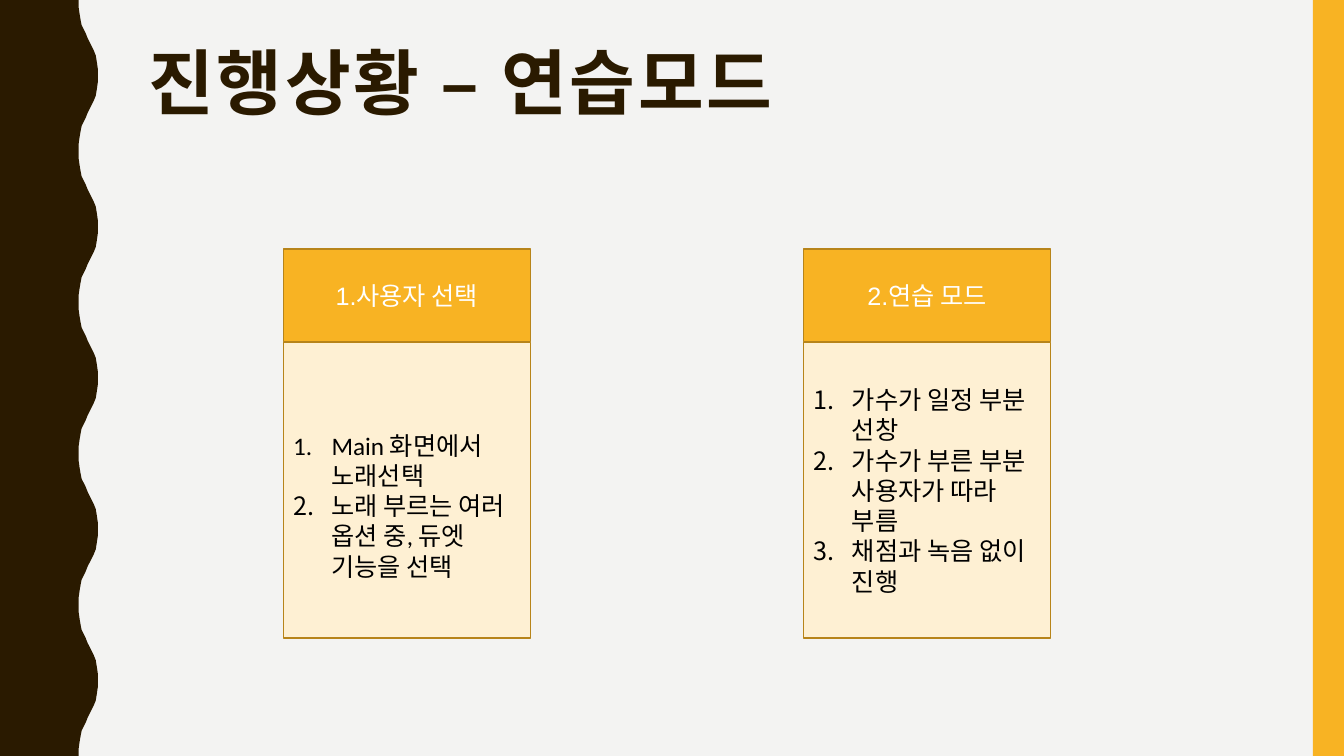
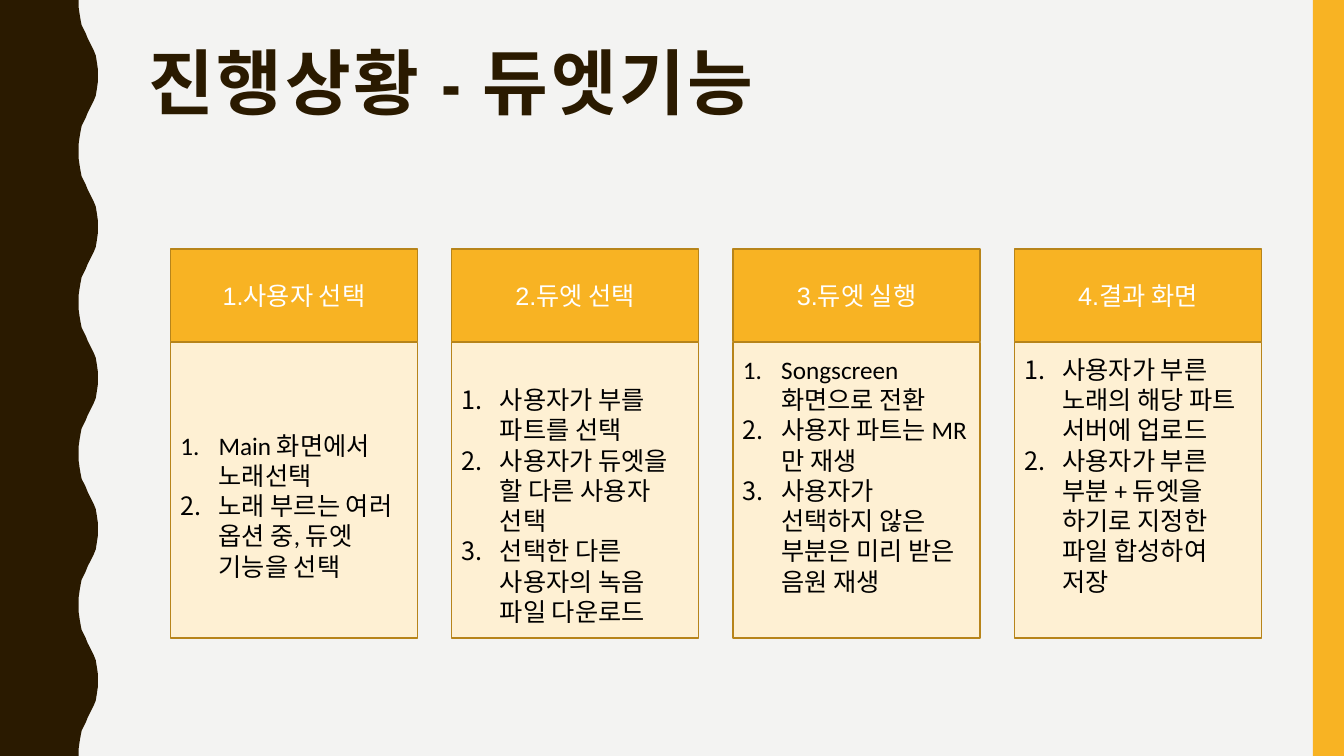
from dataclasses import dataclass

from lxml import etree
from pptx import Presentation
from pptx import presentation as prs
from pptx import slide as sld
from pptx import util as u
from pptx.dml.color import RGBColor
from pptx.enum import shapes, text
from pptx.oxml.ns import qn
from pptx.shapes.autoshape import Shape
from pptx.shapes.group import GroupShape

# Colours
BACKGROUND = RGBColor(0xF3, 0xF3, 0xF2)
BROWN = RGBColor(0x2A, 0x1A, 0x00)
AMBER = RGBColor(0xF8, 0xB3, 0x23)
CREAM = RGBColor(0xFE, 0xF0, 0xD3)
BORDER = RGBColor(0xB7, 0x84, 0x1A)
WHITE = RGBColor(0xFF, 0xFF, 0xFF)
BLACK = RGBColor(0x00, 0x00, 0x00)

# Slide and card measures in inches
SLIDE_WIDTH, SLIDE_HEIGHT = 13.33, 7.5
BAND_WIDTH = 0.31
CARD_WIDTH = 2.45
HEADER_TOP, HEADER_HEIGHT = 2.47, 0.92
BODY_TOP, BODY_HEIGHT = 3.4, 2.93
INSET, LIST_LINE, LIST_INDENT = 0.05, 0.3, 0.38

# Half a wave of the left edge, as (x, y); the other half mirrors it
WAVE_LENGTH = 1.5
HALF_WAVE = [
    (0.78, 0), (0.78, 0.07), (0.79, 0.14), (0.8, 0.2), (0.81, 0.25),
    (0.83, 0.29), (0.85, 0.33), (0.87, 0.38), (0.89, 0.42), (0.91, 0.46),
    (0.93, 0.5), (0.95, 0.55), (0.96, 0.61), (0.97, 0.68), (0.97, 0.75),
]


@dataclass(frozen=True)
class Card:
    header: str
    steps: tuple[str, ...]
    lines_above: int = 0
    lines_below: int = 0


@dataclass(frozen=True)
class Page:
    title: str
    first_left: float
    pitch: float
    cards: tuple[Card, ...]


USER_CHOICE = Card(
    "1.사용자 선택",
    ("Main 화면에서 노래선택", "노래 부르는 여러 옵션 중, 듀엣 기능을 선택"),
    lines_above=1,
)
PAGES = (
    Page("진행상황 – 연습모드", 2.81, 5.16, (
        USER_CHOICE,
        Card("2.연습 모드",
             ("가수가 일정 부분 선창", "가수가 부른 부분 사용자가 따라 부름",
              "채점과 녹음 없이 진행"),
             lines_above=1, lines_below=1),
    )),
    Page("진행상황 - 듀엣기능", 1.69, 2.79, (
        USER_CHOICE,
        Card("2.듀엣 선택",
             ("사용자가 부를 파트를 선택", "사용자가 듀엣을 할 다른 사용자 선택",
              "선택한 다른 사용자의 녹음 파일 다운로드"),
             lines_above=1),
        Card("3.듀엣 실행",
             ("Songscreen화면으로 전환", "사용자 파트는 MR만 재생",
              "사용자가 선택하지 않은 부분은 미리 받은 음원 재생"),
             lines_below=1),
        Card("4.결과 화면",
             ("사용자가 부른 노래의 해당 파트 서버에 업로드",
              "사용자가 부른 부분 + 듀엣을 하기로 지정한 파일 합성하여 저장"),
             lines_below=1),
    )),
)


def paint(shape: Shape, fill: RGBColor, line: RGBColor | None = None) -> None:
    shape.shadow.inherit = False
    shape.fill.solid()
    shape.fill.fore_color.rgb = fill
    if line is None:
        shape.line.fill.background()
    else:
        shape.line.color.rgb = line
        shape.line.width = u.Pt(1)


def format_text(shape: Shape, font_name: str, size: float, color: RGBColor,
                alignment: text.PP_ALIGN, bold: bool = False) -> None:
    for paragraph in shape.text_frame.paragraphs:
        paragraph.alignment = alignment
        for run in paragraph.runs:
            run.font.name = font_name
            run.font.size = u.Pt(size)
            run.font.bold = bold
            run.font.color.rgb = color


def number_paragraphs(shape: Shape) -> None:
    indent = u.Inches(LIST_INDENT)
    for paragraph in shape.text_frame.paragraphs:
        properties = paragraph._p.get_or_add_pPr()
        properties.set("marL", str(indent))
        properties.set("indent", str(-indent))
        etree.SubElement(properties, qn("a:buAutoNum"), type="arabicPeriod")


def wave_outline() -> list[tuple[int, int]]:
    mirrored = [(x, WAVE_LENGTH - y) for x, y in reversed(HALF_WAVE[:-1])]
    waves = round(SLIDE_HEIGHT / WAVE_LENGTH)
    points = [(x, y + wave * WAVE_LENGTH)
              for wave in range(waves) for x, y in HALF_WAVE + mirrored]
    return [(u.Inches(x), u.Inches(y)) for x, y in points + [(0, SLIDE_HEIGHT)]]


def decorate_master(presentation: prs.Presentation, slide: sld.Slide) -> None:
    """Draw the bands on a slide, then move them to the shared master."""
    master = presentation.slide_master
    master.background.fill.solid()
    master.background.fill.fore_color.rgb = BACKGROUND

    builder = slide.shapes.build_freeform(0, 0)
    builder.add_line_segments(wave_outline(), close=True)
    wave = builder.convert_to_shape()
    paint(wave, BROWN)

    band = slide.shapes.add_shape(
        shapes.MSO_SHAPE.RECTANGLE, u.Inches(SLIDE_WIDTH - BAND_WIDTH), 0,
        u.Inches(BAND_WIDTH), u.Inches(SLIDE_HEIGHT))
    paint(band, AMBER)

    for position, shape in enumerate((wave, band), start=2):
        master.shapes._spTree.insert(position, shape._element)


def place_layout_title(layout: sld.SlideLayout) -> None:
    title = layout.placeholders[0]
    title.left, title.top = u.Inches(1.37), u.Inches(0.42)
    title.width, title.height = u.Inches(11.13), u.Inches(1.63)
    title.text_frame.vertical_anchor = text.MSO_ANCHOR.TOP


def set_title(slide: sld.Slide, wording: str) -> None:
    title = slide.shapes.title
    title.text_frame.text = wording
    format_text(title, "Arial Narrow", 51, BROWN, text.PP_ALIGN.LEFT, bold=True)
    paragraph = title.text_frame.paragraphs[0]
    paragraph.line_spacing = 0.9
    paragraph.runs[0].font._element.set("spc", "200")


def add_box(group: GroupShape, left: float, top: float, height: float,
            fill: RGBColor, wording: str) -> Shape:
    box = group.shapes.add_shape(
        shapes.MSO_SHAPE.RECTANGLE, u.Inches(left), u.Inches(top),
        u.Inches(CARD_WIDTH), u.Inches(height))
    paint(box, fill, BORDER)
    box.text_frame.word_wrap = True
    box.text_frame.vertical_anchor = text.MSO_ANCHOR.MIDDLE
    box.text_frame.text = wording
    return box


def add_card(slide: sld.Slide, card: Card, left: float) -> None:
    group = slide.shapes.add_group_shape()
    header = add_box(group, left, HEADER_TOP, HEADER_HEIGHT, AMBER, card.header)
    format_text(header, "Arial", 18, WHITE, text.PP_ALIGN.CENTER)

    body = add_box(group, left, BODY_TOP, BODY_HEIGHT, CREAM, "\n".join(card.steps))
    format_text(body, "Calibri", 18, BLACK, text.PP_ALIGN.LEFT)
    number_paragraphs(body)
    frame = body.text_frame
    frame.margin_top = u.Inches(INSET + card.lines_above * LIST_LINE)
    frame.margin_bottom = u.Inches(INSET + card.lines_below * LIST_LINE)


def main() -> None:
    presentation = Presentation()
    presentation.slide_width = u.Inches(SLIDE_WIDTH)
    presentation.slide_height = u.Inches(SLIDE_HEIGHT)
    layout = presentation.slide_layouts.get_by_name("Title Only")
    place_layout_title(layout)

    slides = [presentation.slides.add_slide(layout) for _ in PAGES]
    decorate_master(presentation, slides[0])
    for slide, page in zip(slides, PAGES):
        set_title(slide, page.title)
        for column, card in enumerate(page.cards):
            add_card(slide, card, page.first_left + column * page.pitch)

    presentation.save("out.pptx")


if __name__ == "__main__":
    main()
